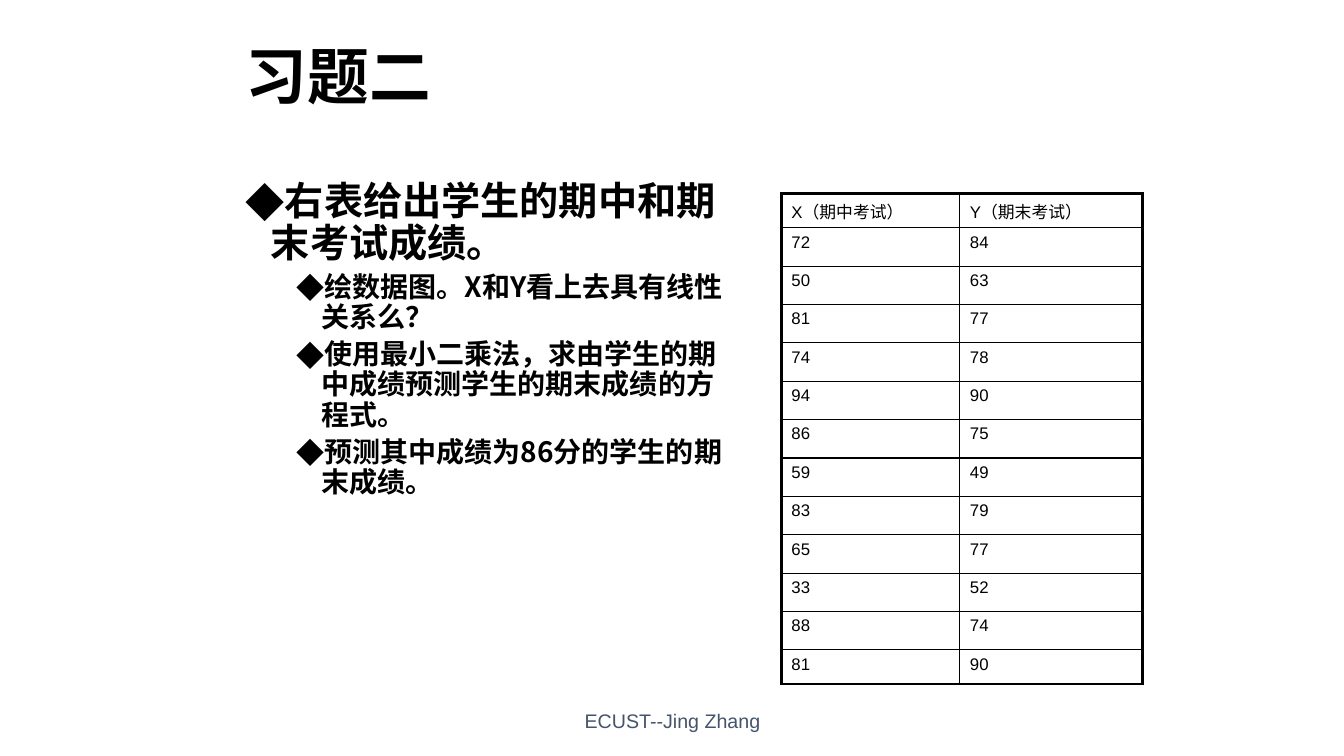
"""Build the exercise slide with the question list and the exam score table."""
from dataclasses import dataclass

from lxml.etree import SubElement
from pptx import Presentation
from pptx.dml.color import RGBColor
from pptx.enum.text import MSO_ANCHOR as Anchor, PP_ALIGN as Align
from pptx.oxml.ns import qn
from pptx.util import Emu, Inches, Pt

BLACK = RGBColor(0x00, 0x00, 0x00)
SLATE = RGBColor(0x44, 0x54, 0x6A)
CJK_FONT = "Noto Sans CJK SC"
LATIN_FONT = "Arial"
SLIDE_WIDTH, SLIDE_HEIGHT = Inches(13.33), Inches(7.5)
THIN, THICK = 1, 2.25


def across(percent: float) -> Emu:
    """Turn a percentage of the slide width into a length."""
    return Emu(round(SLIDE_WIDTH * percent / 100))


def down(percent: float) -> Emu:
    """Turn a percentage of the slide height into a length."""
    return Emu(round(SLIDE_HEIGHT * percent / 100))


@dataclass(frozen=True)
class Area:
    """A rectangle in percentages of the slide size."""

    left: float
    top: float
    width: float
    height: float

    def lengths(self) -> tuple[Emu, Emu, Emu, Emu]:
        """Return the rectangle as lengths."""
        return across(self.left), down(self.top), across(self.width), down(self.height)


@dataclass(frozen=True)
class Point:
    """A bulleted line of the question list."""

    text: str
    size: int
    indent: float
    level: int = 0
    space_before: int = 0


TITLE_AREA = Area(17.55, 3.33, 66.9, 14.4)
FOOTER_AREA = Area(33.16, 92.67, 33.76, 5.33)
QUESTION_AREA = Area(17.55, 23.33, 38.11, 65.6)
SCORE_AREA = Area(58.14, 25.6, 26.86, 64.93)
SCORE_COLUMNS = (13.28, 13.58)
EDGE_ROW, INNER_ROW = 4.53, 5.08

QUESTIONS = (
    Point("右表给出学生的期中和期末考试成绩。", 28, 0.25),
    Point("绘数据图。X和Y看上去具有线性关系么？", 20, 0.75, 1, 5),
    Point("使用最小二乘法，求由学生的期中成绩预测学生的期末成绩的方程式。", 20, 0.75, 1, 5),
    Point("预测其中成绩为86分的学生的期末成绩。", 20, 0.75, 1, 5),
)
SCORES = (
    ("X（期中考试）", "Y（期末考试）"),
    (72, 84), (50, 63), (81, 77), (74, 78), (94, 90), (86, 75),
    (59, 49), (83, 79), (65, 77), (33, 52), (88, 74), (81, 90),
)


def write(paragraph, text: str, *, size: int, font: str = CJK_FONT, color: RGBColor = BLACK,
          bold: bool = False, align: Align = Align.LEFT, spacing: float = 1.0,
          before: int = 0) -> None:
    """Put formatted text in a paragraph."""
    paragraph.alignment = align
    paragraph.line_spacing = spacing
    paragraph.space_before = Pt(before)
    run = paragraph.add_run()
    run.text = text
    run.font.size, run.font.bold, run.font.name = Pt(size), bold, font
    run.font.color.rgb = color
    SubElement(run.font._element, qn("a:ea"), typeface=CJK_FONT)


def add_box(slide, area: Area, anchor: Anchor):
    """Add a wrapping text box and return its text frame."""
    frame = slide.shapes.add_textbox(*area.lengths()).text_frame
    frame.word_wrap = True
    frame.vertical_anchor = anchor
    return frame


def add_questions(slide) -> None:
    """Add the bulleted question list."""
    frame = add_box(slide, QUESTION_AREA, Anchor.TOP)
    for index, point in enumerate(QUESTIONS):
        paragraph = frame.add_paragraph() if index else frame.paragraphs[0]
        paragraph.level = point.level
        write(paragraph, point.text, size=point.size, bold=True, spacing=0.9,
              before=point.space_before)
        properties = paragraph._p.get_or_add_pPr()
        properties.set("marL", str(Inches(point.indent)))
        properties.set("indent", str(Inches(-0.25)))
        SubElement(properties, qn("a:buFont"), typeface=CJK_FONT)
        SubElement(properties, qn("a:buChar"), char="◆")


def set_border(cell, side: str, width: float) -> None:
    """Draw one black border of a cell."""
    line = SubElement(cell._tc.get_or_add_tcPr(), qn(f"a:ln{side}"), w=str(Pt(width)))
    fill = SubElement(line, qn("a:solidFill"))
    SubElement(fill, qn("a:srgbClr"), val=str(BLACK))


def add_scores(slide) -> None:
    """Add the score table with a thick frame and thin inner lines."""
    last_row, last_column = len(SCORES) - 1, len(SCORE_COLUMNS) - 1
    table = slide.shapes.add_table(len(SCORES), len(SCORE_COLUMNS), *SCORE_AREA.lengths()).table
    table.first_row = table.horz_banding = False
    for column, width in zip(table.columns, SCORE_COLUMNS):
        column.width = across(width)
    for r, scores in enumerate(SCORES):
        table.rows[r].height = down(EDGE_ROW if r in (0, last_row) else INNER_ROW)
        for c, score in enumerate(scores):
            cell = table.cell(r, c)
            write(cell.text_frame.paragraphs[0], str(score), size=12, font=LATIN_FONT)
            outer = {"L": c == 0, "R": c == last_column, "T": r == 0, "B": r == last_row}
            for side, is_outer in outer.items():
                set_border(cell, side, THICK if is_outer else THIN)
            cell.fill.background()


def main() -> None:
    """Build and save the slide."""
    deck = Presentation()
    deck.slide_width, deck.slide_height = SLIDE_WIDTH, SLIDE_HEIGHT
    slide = deck.slides.add_slide(deck.slide_layouts[6])
    title = add_box(slide, TITLE_AREA, Anchor.MIDDLE)
    write(title.paragraphs[0], "习题二", size=44, bold=True, spacing=0.9)
    footer = add_box(slide, FOOTER_AREA, Anchor.MIDDLE)
    write(footer.paragraphs[0], "ECUST--Jing Zhang", size=14, font=LATIN_FONT, color=SLATE,
          align=Align.CENTER)
    add_questions(slide)
    add_scores(slide)
    deck.save("out.pptx")


if __name__ == "__main__":
    main()
